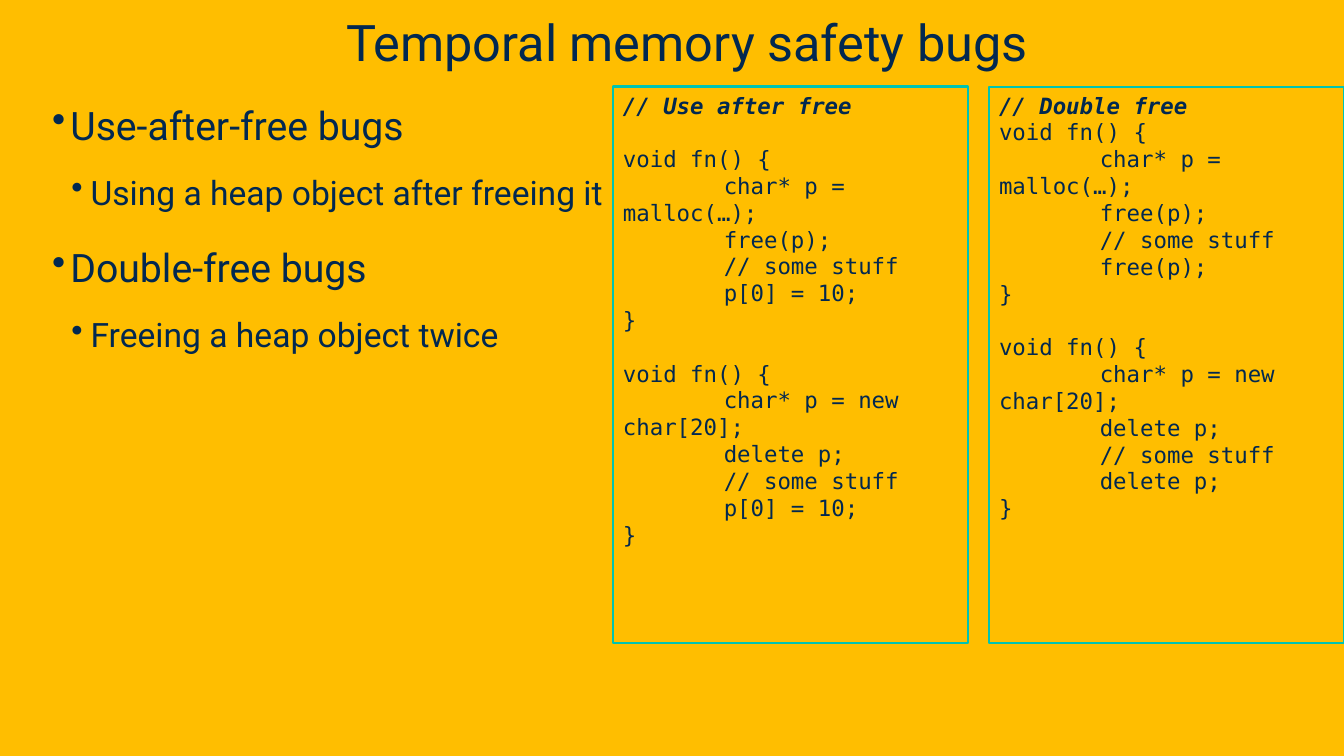
from lxml import etree
from pptx import Presentation, util as u
from pptx.dml import color
from pptx.enum import shapes, text
from pptx.oxml import ns

COLORS = {"background": "FFBE00", "ink": "022850", "border": "00C4B2"}
TOP, HEIGHT = 0.86, 5.52
CODE_LEFT, CODE_WIDTH, CODE_STEP = 6.08, 3.52, 3.73


def rgb(name):
    return color.RGBColor.from_string(COLORS[name])


def style_paragraph(paragraph, font, size, margin=0, indent=0):
    properties = paragraph._p.get_or_add_pPr()
    properties.set("marL", str(u.Inches(margin)))
    properties.set("indent", str(u.Inches(indent)))
    properties.set("defTabSz", str(u.Inches(1)))
    for run in paragraph.runs:
        run.font.name = font
        run.font.size = u.Pt(size)
        run.font.color.rgb = rgb("ink")
    return properties


presentation = Presentation()
presentation.slide_width = u.Inches(13.33)
presentation.slide_height = u.Inches(7.5)
slide = presentation.slides.add_slide(presentation.slide_layouts[5])
slide.background.fill.solid()
slide.background.fill.fore_color.rgb = rgb("background")

title = slide.shapes.title
title.left, title.top = 0, 0
title.width, title.height = presentation.slide_width, u.Inches(0.76)
title.text_frame.text = "Temporal memory safety bugs"
title.text_frame.auto_size = text.MSO_AUTO_SIZE.NONE
title.text_frame.vertical_anchor = text.MSO_ANCHOR.BOTTOM
paragraph = title.text_frame.paragraphs[0]
paragraph.alignment = text.PP_ALIGN.CENTER
style_paragraph(paragraph, "Roboto", 36, margin=0.3)

bullets = [
    (0, "Use-after-free bugs"),
    (1, "Using a heap object after freeing it"),
    (0, "Double-free bugs"),
    (1, "Freeing a heap object twice"),
]
levels = [
    {"size": 28, "margin": 0.18, "indent": -0.18, "before": 10},
    {"size": 24, "margin": 0.38, "indent": -0.19, "before": 5},
]
bullet_box = slide.shapes.add_textbox(
    u.Inches(0.42), u.Inches(TOP), u.Inches(5.67), u.Inches(HEIGHT))
frame = bullet_box.text_frame
frame.word_wrap = True
frame.text = "\n".join(line for _, line in bullets)
for index, (paragraph, (level, _)) in enumerate(zip(frame.paragraphs, bullets)):
    look = levels[level]
    paragraph.level = level
    properties = style_paragraph(
        paragraph, "Roboto", look["size"], look["margin"], look["indent"])
    etree.SubElement(properties, ns.qn("a:buChar")).set("char", "•")
    paragraph.line_spacing = 1.2
    paragraph.space_before = u.Pt(look["before"] if index else 0)
    paragraph.space_after = u.Pt(6)

code_panels = [
    {
        "border": 1.75,
        "gaps": [1, 7],
        "lines": [
            "// Use after free",
            "void fn() {", "\tchar* p = malloc(…);", "\tfree(p);",
            "\t// some stuff", "\tp[0] = 10;", "}",
            "void fn() {", "\tchar* p = new char[20];", "\tdelete p;",
            "\t// some stuff", "\tp[0] = 10;", "}",
        ],
    },
    {
        "border": 1.5,
        "gaps": [7],
        "lines": [
            "// Double free",
            "void fn() {", "\tchar* p = malloc(…);", "\tfree(p);",
            "\t// some stuff", "\tfree(p);", "}",
            "void fn() {", "\tchar* p = new char[20];", "\tdelete p;",
            "\t// some stuff", "\tdelete p;", "}",
        ],
    },
]
for column, panel in enumerate(code_panels):
    shape = slide.shapes.add_shape(
        shapes.MSO_SHAPE.RECTANGLE,
        u.Inches(CODE_LEFT + column * CODE_STEP), u.Inches(TOP),
        u.Inches(CODE_WIDTH), u.Inches(HEIGHT))
    shape.shadow.inherit = False
    shape.fill.background()
    shape.line.color.rgb = rgb("border")
    shape.line.width = u.Pt(panel["border"])
    frame = shape.text_frame
    frame.word_wrap = True
    frame.vertical_anchor = text.MSO_ANCHOR.TOP
    frame.text = "\n".join(panel["lines"])
    for index, paragraph in enumerate(frame.paragraphs):
        paragraph.alignment = text.PP_ALIGN.LEFT
        style_paragraph(paragraph, "DejaVu Sans Mono", 16)
        if index in panel["gaps"]:
            paragraph.space_before = u.Pt(19)
    heading = frame.paragraphs[0].runs[0].font
    heading.bold = heading.italic = True

presentation.save("out.pptx")
